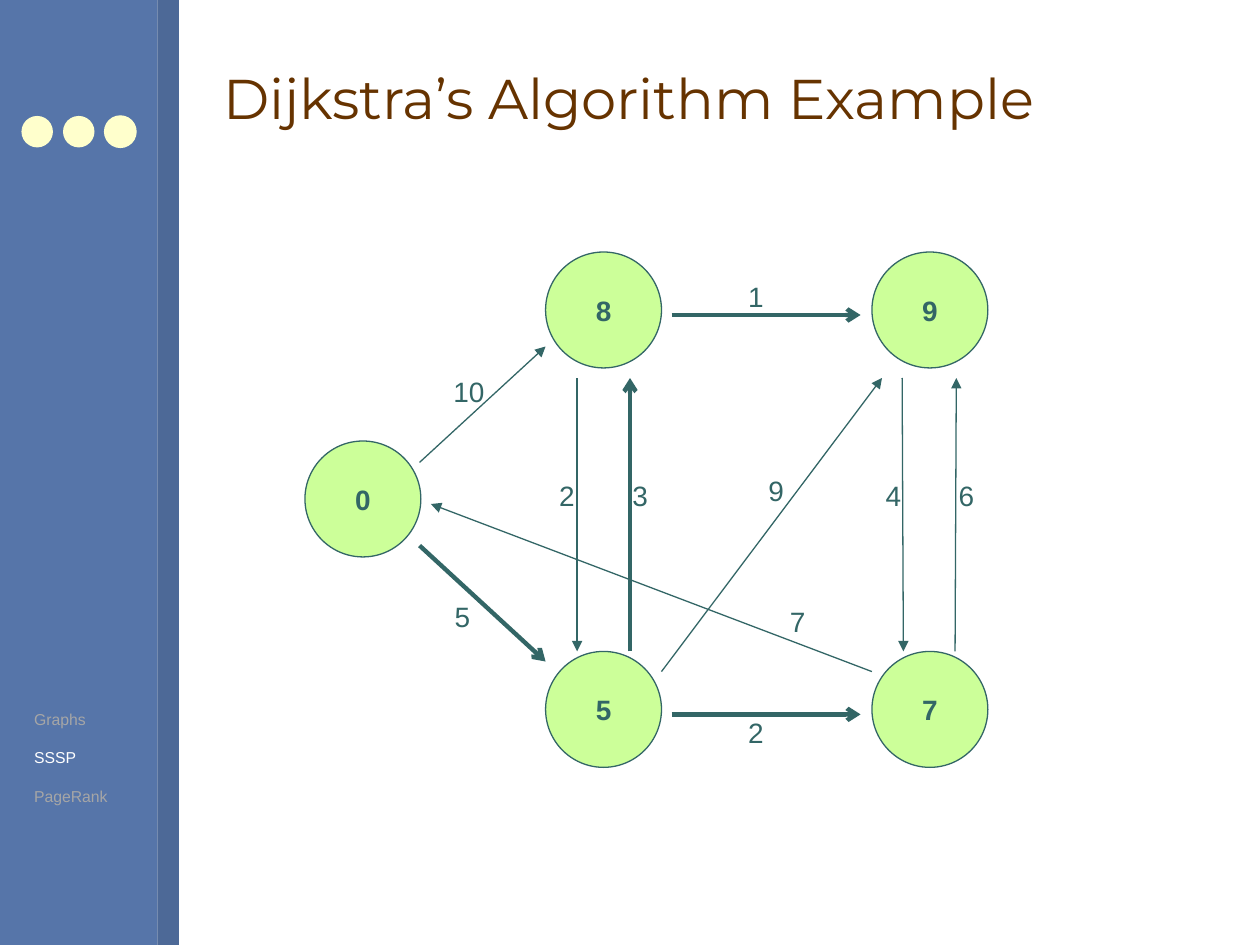
from dataclasses import dataclass

from lxml import etree
from pptx import Presentation
from pptx import util as u
from pptx.dml.color import RGBColor
from pptx.enum import shapes, text
from pptx.oxml.ns import qn

BLUE = RGBColor(0x56, 0x75, 0xA9)
DARK_BLUE = RGBColor(0x4D, 0x69, 0x97)
CREAM = RGBColor(0xFF, 0xFF, 0xCC)
BROWN = RGBColor(0x66, 0x33, 0x00)
GREEN = RGBColor(0xCC, 0xFF, 0x99)
TEAL = RGBColor(0x33, 0x66, 0x66)
GRAY = RGBColor(0xA6, 0xA6, 0xA6)
WHITE = RGBColor(0xFF, 0xFF, 0xFF)

RECT = shapes.MSO_SHAPE.RECTANGLE
OVAL = shapes.MSO_SHAPE.OVAL
NODE_SIZE = 0.92
LABEL_FONT = dict(name="Arial", size=u.Pt(16))


@dataclass
class Node:
    distance: str
    x: float
    y: float


@dataclass
class Edge:
    start: tuple[float, float]
    end: tuple[float, float]
    weight: str
    label_at: tuple[float, float]
    on_path: bool = False  # part of the shortest-path tree


NODES = [
    Node("0", 2.42, 3.5),
    Node("8", 4.33, 2),
    Node("5", 4.33, 5.17),
    Node("9", 6.92, 2),
    Node("7", 6.92, 5.17),
]

EDGES = [
    Edge((3.33, 4.33), (4.33, 5.25), "5", (3.51, 4.71), True),
    Edge((3.33, 3.67), (4.33, 2.75), "10", (3.5, 2.92)),
    Edge((5.33, 5.67), (6.83, 5.67), "2", (5.84, 5.63), True),
    Edge((5.33, 2.5), (6.83, 2.5), "1", (5.84, 2.17), True),
    Edge((5.25, 5.33), (7, 3), "9", (6, 3.71)),
    Edge((6.92, 5.33), (3.42, 4), "7", (6.17, 4.75)),
    Edge((5, 5.17), (5, 3), "3", (4.92, 3.75), True),
    Edge((4.58, 3), (4.58, 5.17), "2", (4.34, 3.75)),
    Edge((7.58, 5.17), (7.59, 3), "6", (7.51, 3.75)),
    Edge((7.16, 3), (7.17, 5.17), "4", (6.93, 3.75)),
]


def box(*lengths: float) -> list[int]:
    return [u.Inches(v) for v in lengths]


def place(sp, x: float, y: float, w: float, h: float) -> None:
    for name, value in zip(("left", "top", "width", "height"), box(x, y, w, h)):
        setattr(sp, name, value)


def add_run(p, words: str, color: RGBColor, **fmt) -> None:
    r = p.add_run()
    r.text = words
    r.font.color.rgb = color
    for name, value in fmt.items():
        setattr(r.font, name, value)


def add_solid(s, kind, x, y, w, h, fill: RGBColor, line: RGBColor | None = None):
    sp = s.shapes.add_shape(kind, *box(x, y, w, h))
    sp.shadow.inherit = False
    sp.fill.solid()
    sp.fill.fore_color.rgb = fill
    if line is None:
        sp.line.fill.background()
    else:
        sp.line.color.rgb = line
        sp.line.width = u.Pt(0.75)
    return sp


def add_node(s, node: Node) -> None:
    sp = add_solid(s, OVAL, node.x, node.y, NODE_SIZE, NODE_SIZE, GREEN, TEAL)
    tf = sp.text_frame
    tf.vertical_anchor = text.MSO_ANCHOR.MIDDLE
    p = tf.paragraphs[0]
    p.alignment = text.PP_ALIGN.CENTER
    add_run(p, node.distance, TEAL, bold=True, **LABEL_FONT)


def add_arrow(s, edge: Edge) -> None:
    sp = s.shapes.add_connector(
        shapes.MSO_CONNECTOR.STRAIGHT, *box(*edge.start, *edge.end))
    sp.line.color.rgb = TEAL
    sp.line.width = u.Pt(2.5 if edge.on_path else 0.75)
    props = sp._element.spPr
    head = etree.SubElement(props.find(qn("a:ln")), qn("a:tailEnd"))
    head.set("type", "arrow" if edge.on_path else "triangle")
    etree.SubElement(props, qn("a:effectLst"))


def add_weight(s, edge: Edge) -> None:
    width = 0.2 + 0.13 * len(edge.weight)
    tf = s.shapes.add_textbox(*box(*edge.label_at, width, 0.37)).text_frame
    tf.word_wrap = False
    tf.auto_size = text.MSO_AUTO_SIZE.SHAPE_TO_FIT_TEXT
    add_run(tf.paragraphs[0], edge.weight, TEAL, **LABEL_FONT)


def fill_title(sp, words: str) -> None:
    place(sp, 1.67, 0.21, 8, 1.13)
    tf = sp.text_frame
    tf.auto_size = text.MSO_AUTO_SIZE.NONE
    tf.vertical_anchor = text.MSO_ANCHOR.MIDDLE
    p = tf.paragraphs[0]
    p.alignment = text.PP_ALIGN.LEFT
    add_run(p, words, BROWN, name="Montserrat", size=u.Pt(32))


def fill_outline(sp, topics: list[str], current: str) -> None:
    place(sp, 0.17, 5.58, 0.9, 0.85)
    tf = sp.text_frame
    tf.auto_size = text.MSO_AUTO_SIZE.NONE
    tf.word_wrap = False
    for i, topic in enumerate(topics):
        p = tf.add_paragraph() if i else tf.paragraphs[0]
        p.alignment = text.PP_ALIGN.LEFT
        p.space_before = u.Pt(0)
        p.space_after = u.Pt(11.2)
        props = p._p.get_or_add_pPr()
        props.set("marL", "0")
        props.set("indent", "0")
        etree.SubElement(props, qn("a:buNone"))
        add_run(p, topic, WHITE if topic == current else GRAY,
                name="Arial", size=u.Pt(9))


def main() -> None:
    prs = Presentation()
    prs.slide_width, prs.slide_height = box(10, 7.5)
    s = prs.slides.add_slide(prs.slide_layouts[1])

    # Sidebar with three dots
    add_solid(s, RECT, 0, 0, 1.25, 7.5, BLUE)
    add_solid(s, RECT, 1.25, 0, 0.17, 7.5, DARK_BLUE)
    for i in range(3):
        add_solid(s, OVAL, 0.17 + 0.33 * i, 0.92, 0.25, 0.25, CREAM,
                  CREAM if i == 2 else None)

    # Graph
    for node in NODES:
        add_node(s, node)
    for edge in EDGES:
        add_arrow(s, edge)
    for edge in EDGES:
        add_weight(s, edge)

    # Title and outline, brought in front of the sidebar
    title, outline = s.shapes.title, s.placeholders[1]
    fill_title(title, "Dijkstra’s Algorithm Example")
    fill_outline(outline, ["Graphs", "SSSP", "PageRank"], "SSSP")
    for sp in (title, outline):
        s.shapes._spTree.append(sp._element)

    prs.save("out.pptx")


if __name__ == "__main__":
    main()
